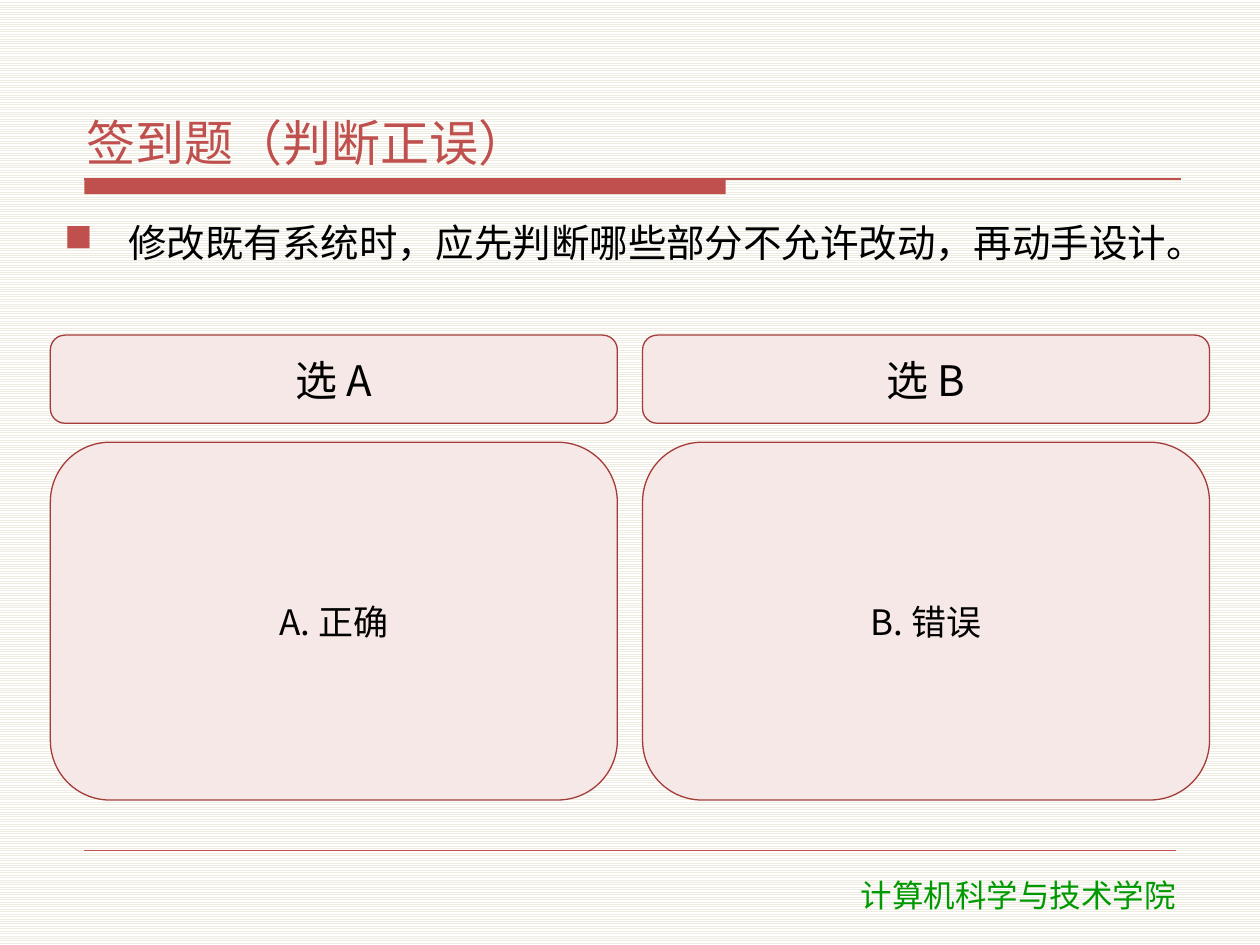
"""Build a true-or-false check-in question slide with two answer columns."""
from lxml import etree
from pptx import Presentation, util as u
from pptx.dml.color import RGBColor
from pptx.enum import dml, shapes, text
from pptx.oxml.ns import qn

RED = RGBColor(0xC0, 0x50, 0x4D)
DARK_RED = RGBColor(0xA3, 0x3B, 0x38)
PINK = RGBColor(0xF6, 0xE8, 0xE6)
CREAM = RGBColor(0xEE, 0xEC, 0xE1)
WHITE = RGBColor(0xFF, 0xFF, 0xFF)
BLACK = RGBColor(0, 0, 0)
GREEN = RGBColor(0, 0x99, 0)
CJK = "Noto Sans CJK SC"

deck = Presentation()
deck.slide_width, deck.slide_height = u.Inches(10), u.Inches(7.5)
COL, ROW = deck.slide_width / 100, deck.slide_height / 75
slide = deck.slides.add_slide(deck.slide_layouts[6])

backdrop = slide.background.fill
backdrop.patterned()
backdrop.pattern = dml.MSO_PATTERN.LIGHT_HORIZONTAL
backdrop.fore_color.rgb = CREAM
backdrop.back_color.rgb = WHITE


def grid(col, row, cols, rows):
    return [round(n) for n in (col * COL, row * ROW, cols * COL, rows * ROW)]


def write(holder, wording, size, color, anchor, align, font=CJK, after=2, inset=(0.06, 0.02)):
    frame = holder.text_frame
    frame.word_wrap = True
    frame.vertical_anchor = anchor
    frame.margin_left = frame.margin_right = u.Inches(inset[0])
    frame.margin_top = frame.margin_bottom = u.Inches(inset[1])
    paragraph = frame.paragraphs[0]
    paragraph.alignment = align
    paragraph.space_after = u.Pt(after)
    run = paragraph.add_run()
    run.text = wording
    run.font.size = u.Pt(size)
    run.font.name = font
    run.font.color.rgb = color
    if font == CJK:
        etree.SubElement(run.font._element, qn("a:ea"), typeface=font)
    return paragraph


TOP, MIDDLE, BOTTOM = text.MSO_ANCHOR.TOP, text.MSO_ANCHOR.MIDDLE, text.MSO_ANCHOR.BOTTOM
LEFT, CENTER = text.PP_ALIGN.LEFT, text.PP_ALIGN.CENTER

title_bar = slide.shapes.add_shape(shapes.MSO_SHAPE.RECTANGLE, *grid(6.7, 14.2, 50.9, 1.2))
title_bar.shadow.inherit = False
title_bar.fill.solid()
title_bar.fill.fore_color.rgb = RED
title_bar.line.fill.background()

for row, end, weight in ((14.2, 93.7, 0.75), (67.5, 93.3, 0.25)):
    x, y, right, _ = grid(6.7, row, end, 0)
    rule = slide.shapes.add_connector(shapes.MSO_CONNECTOR.STRAIGHT, x, y, right, y)
    rule.line.color.rgb = RED
    rule.line.width = u.Pt(weight)
    etree.SubElement(rule._element.spPr, qn("a:effectLst"))

school = slide.shapes.add_textbox(*grid(60.7, 69, 40.2, 4))
write(school, "计算机科学与技术学院", 18, GREEN, TOP, CENTER, "DejaVu Sans", 0, (0.1, 0.05))

title = slide.shapes.add_textbox(*grid(6.3, 3.3, 87.5, 10.5))
write(title, "签到题（判断正误）", 28, RED, BOTTOM, LEFT)

question = slide.shapes.add_textbox(*grid(4.5, 17.2, 91, 8.6))
statement = write(question, "修改既有系统时，应先判断哪些部分不允许改动，再动手设计。",
                  22, BLACK, TOP, LEFT)
bullet = statement._p.get_or_add_pPr()
bullet.set("marL", str(u.Inches(0.51)))
bullet.set("indent", str(-u.Inches(0.51)))
bullet_color = etree.SubElement(bullet, qn("a:buClr"))
etree.SubElement(bullet_color, qn("a:srgbClr"), val=str(RED))
etree.SubElement(bullet, qn("a:buChar"), char="■")

CARD_ROWS = ((26.6, 7, 24, ("选 A", "选 B")), (35.1, 28.4, 20, ("A. 正确", "B. 错误")))
for row, height, size, wordings in CARD_ROWS:
    for choice, wording in enumerate(wordings):
        card = slide.shapes.add_shape(shapes.MSO_SHAPE.ROUNDED_RECTANGLE,
                                      *grid(4 + 47 * choice, row, 45, height))
        card.shadow.inherit = False
        card.fill.solid()
        card.fill.fore_color.rgb = PINK
        card.line.color.rgb = DARK_RED
        card.line.width = u.Pt(0.75)
        write(card, wording, size, BLACK, MIDDLE, CENTER)

deck.save("out.pptx")
